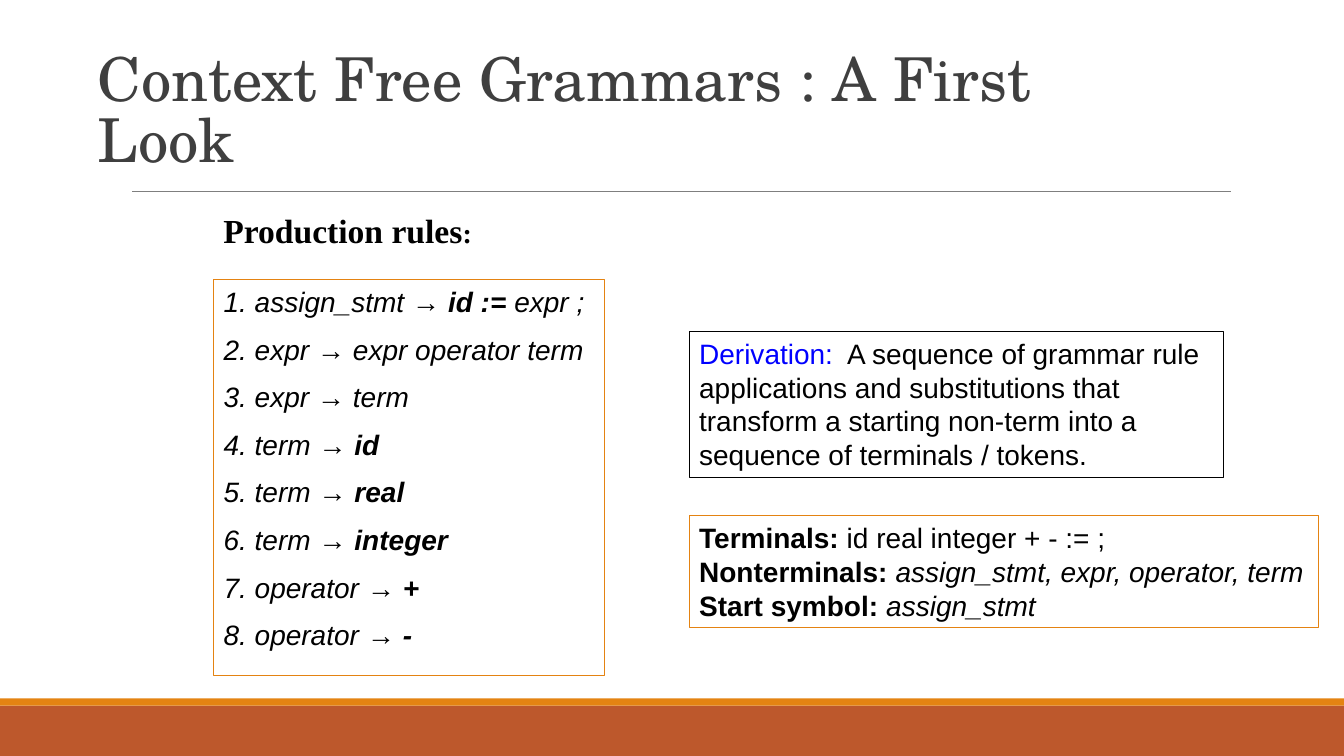
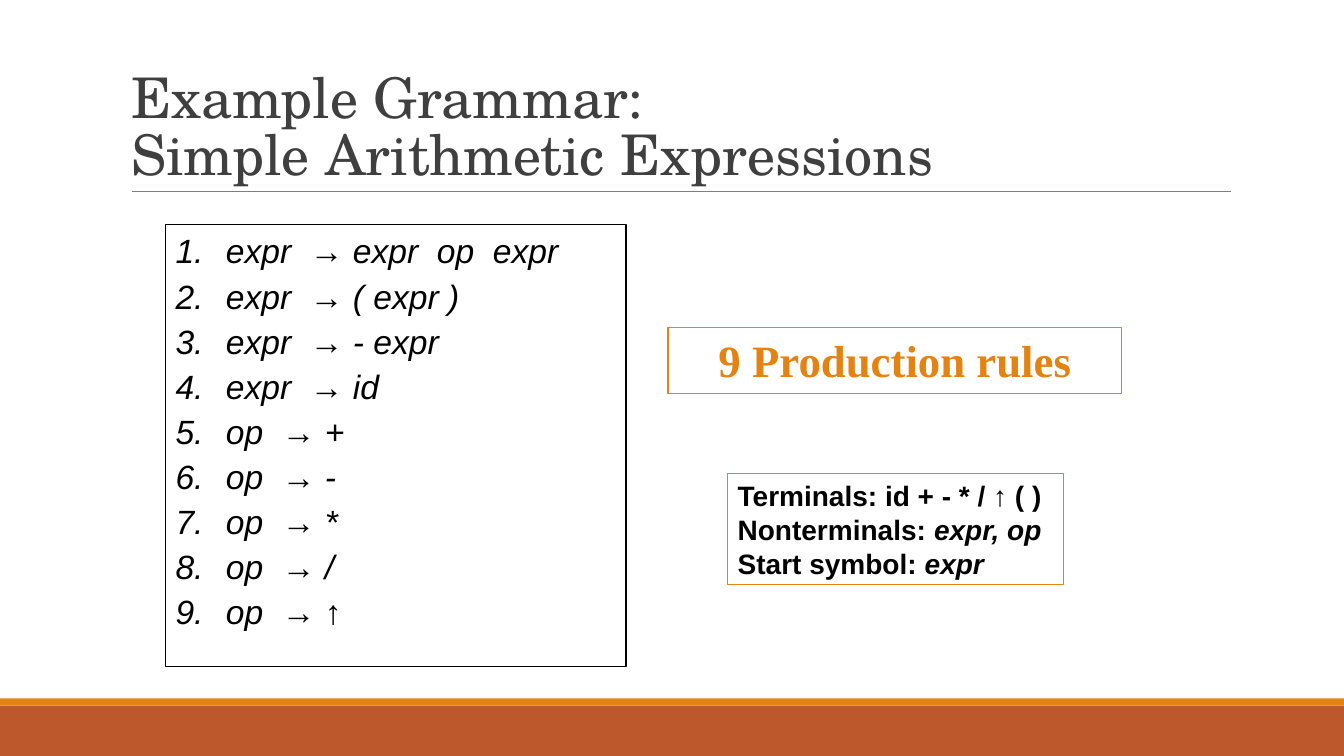
from lxml import etree
from pptx import Presentation
from pptx.dml.color import RGBColor
from pptx.enum.shapes import MSO_CONNECTOR, MSO_SHAPE
from pptx.enum.text import MSO_ANCHOR, MSO_AUTO_SIZE, PP_ALIGN
from pptx.oxml.ns import qn
from pptx.util import Cm, Pt

RECTANGLE = MSO_SHAPE.RECTANGLE
STRAIGHT = MSO_CONNECTOR.STRAIGHT
TOP, BOTTOM = MSO_ANCHOR.TOP, MSO_ANCHOR.BOTTOM
NO_AUTOFIT = MSO_AUTO_SIZE.NONE
LEFT, CENTER = PP_ALIGN.LEFT, PP_ALIGN.CENTER

COLORS = {
    "rust": "BD582C",
    "orange": "E48312",
    "gray": "7F7F7F",
    "title": "3F3F3F",
    "black": "000000",
    "blue": "0000FF",
}
TITLE = {"name": "TeX Gyre Schola", "color": "title"}
TEXT = {"name": "Arial", "size": Pt(20), "color": "black"}
SERIF = {"name": "Times New Roman", "size": Pt(24), "color": "black", "bold": True}
PLAIN = {}
BOLD = {"bold": True}
ITALIC = {"italic": True}
BOLD_ITALIC = {"bold": True, "italic": True}


def color(name):
    return RGBColor.from_string(COLORS[name])


def fill_frame(shape, box, paragraphs, base, border=None, anchor=TOP, layout=None):
    shape.left, shape.top, shape.width, shape.height = [Cm(length) for length in box]
    if border:
        shape.line.color.rgb = color(border[0])
        shape.line.width = Pt(border[1])
    frame = shape.text_frame
    frame.word_wrap = True
    frame.auto_size = NO_AUTOFIT
    frame.vertical_anchor = anchor
    for index, runs in enumerate(paragraphs):
        paragraph = frame.add_paragraph() if index else frame.paragraphs[0]
        values = {"alignment": LEFT, "space_before": Pt(0)} | (layout or {})
        for attribute, value in values.items():
            setattr(paragraph, attribute, value)
        for text, changes in runs:
            run = paragraph.add_run()
            run.text = text
            for attribute, value in (base | changes).items():
                if attribute == "color":
                    run.font.color.rgb = color(value)
                else:
                    setattr(run.font, attribute, value)
    return frame


def set_bullets(shape, tag, margin, **attributes):
    for properties in shape.element.iter(qn("a:pPr")):
        properties.set("marL", str(margin))
        properties.set("indent", str(-margin))
        etree.SubElement(properties, qn(tag), **attributes)


presentation = Presentation()
presentation.slide_width = Cm(33.87)
presentation.slide_height = Cm(19.05)
content_layout = presentation.slide_layouts[1]
first_slide = presentation.slides.add_slide(content_layout)
second_slide = presentation.slides.add_slide(content_layout)

shared_shapes = []
for top, height, name in [(17.78, 1.27, "rust"), (17.6, 0.18, "orange")]:
    band = first_slide.shapes.add_shape(RECTANGLE, 0, Cm(top), Cm(33.87), Cm(height))
    band.shadow.inherit = False
    band.fill.solid()
    band.fill.fore_color.rgb = color(name)
    band.line.fill.background()
    shared_shapes.append(band)
title_rule = first_slide.shapes.add_connector(STRAIGHT, Cm(3.33), Cm(4.83), Cm(31.01), Cm(4.83))
title_rule.line.color.rgb = color("gray")
title_rule.line.width = Pt(0.75)
etree.SubElement(title_rule.element.spPr, qn("a:effectLst"))
shared_shapes.append(title_rule)
for shape in shared_shapes:
    content_layout.shapes.element.append(shape.element)

titles = [
    (first_slide, (2.21, 1.57, 27.69, 2.97), 43.2, ["Context Free Grammars : A First Look"]),
    (second_slide, (3.05, 0.79, 27.94, 4.04), 40, ["Example Grammar: ", "Simple Arithmetic Expressions"]),
]
for slide, box, size, lines in titles:
    title = slide.shapes.title
    frame = fill_frame(title, box, [[(lines[0], PLAIN)]], TITLE | {"size": Pt(size)},
                       anchor=BOTTOM, layout={"line_spacing": 0.85})
    paragraph = frame.paragraphs[0]
    for line in lines[1:]:
        paragraph.add_line_break()
        run = paragraph.add_run()
        run.text = line
        run.font.name = TITLE["name"]
        run.font.size = Pt(size)
        run.font.color.rgb = color(TITLE["color"])
    for line_break in title.element.iter(qn("a:br")):
        etree.SubElement(line_break, qn("a:rPr"), sz=str(size * 100))

statement_rules = [
    ("assign_stmt", [("id :=", BOLD_ITALIC), (" expr ;", ITALIC)]),
    ("expr", [("expr operator term", ITALIC)]),
    ("expr", [("term", ITALIC)]),
    ("term", [("id", BOLD_ITALIC)]),
    ("term", [("real", BOLD_ITALIC)]),
    ("term", [("integer", BOLD_ITALIC)]),
    ("operator", [("+", BOLD_ITALIC)]),
    ("operator", [("-", BOLD_ITALIC)]),
]
statement_list = first_slide.placeholders[1]
frame = fill_frame(
    statement_list, (5.38, 7.04, 9.86, 9.98),
    [[(f"{number}. {left} ", ITALIC), ("→ ", PLAIN), *right]
     for number, (left, right) in enumerate(statement_rules, 1)],
    TEXT, ("orange", 1), layout={"space_before": Pt(10)})
frame.paragraphs[0].space_before = Pt(0)
set_bullets(statement_list, "a:buNone", 0)

arithmetic_rules = [("expr", right) for right in ["expr  op  expr", "( expr )", "- expr", "id"]]
arithmetic_rules += [("op", right) for right in "+-*/"]
arithmetic_list = second_slide.placeholders[1]
frame = fill_frame(
    arithmetic_list, (4.17, 5.66, 11.61, 11.13),
    [[(f"{left}  ", ITALIC), ("→", PLAIN), (f" {right}", ITALIC)] for left, right in arithmetic_rules]
    + [[("op  ", ITALIC), ("→ ↑", PLAIN)]],
    TEXT | {"size": Pt(24)}, ("black", 1), layout={"space_before": Pt(12), "line_spacing": 0.7})
frame.paragraphs[0].space_before = Pt(0)
frame.paragraphs[0].line_spacing = 1.0
set_bullets(arithmetic_list, "a:buAutoNum", Cm(1.27), type="arabicPeriod")

text_boxes = [
    (first_slide, (17.37, 8.36, 13.46, 3.68), TEXT, ("black", 1), LEFT, [
        [("Derivation:", {"color": "blue"}),
         ("  A sequence of grammar rule applications and substitutions that transform "
          "a starting non-term into a sequence of terminals / tokens.", PLAIN)],
    ]),
    (first_slide, (5.38, 5.16, 6.83, 1.27), SERIF, None, LEFT, [
        [("Production rules", PLAIN), (":", {"size": Pt(20)})],
    ]),
    (first_slide, (17.37, 13, 15.85, 2.82), TEXT, ("orange", 0.75), LEFT, [
        [("Terminals: ", BOLD), ("id real integer + - := ;", PLAIN)],
        [("Nonterminals: ", BOLD), ("assign_stmt, expr, operator, term", ITALIC)],
        [("Start symbol: ", BOLD), ("assign_stmt", ITALIC)],
    ]),
    (second_slide, (16.84, 8.26, 11.43, 1.65), SERIF, ("orange", 1), CENTER, [
        [("9 Production rules", {"size": Pt(32), "color": "orange"})],
    ]),
    (second_slide, (18.34, 11.94, 8.46, 2.79), TEXT | BOLD, ("orange", 0.75), LEFT, [
        [("Terminals: id + - * / ↑ ( )", PLAIN)],
        [("Nonterminals: ", PLAIN), ("expr, op", ITALIC)],
        [("Start symbol: ", PLAIN), ("expr", ITALIC)],
    ]),
]
for slide, box, base, border, alignment, paragraphs in text_boxes:
    text_box = slide.shapes.add_textbox(0, 0, 0, 0)
    fill_frame(text_box, box, paragraphs, base, border, layout={"alignment": alignment})

presentation.save("out.pptx")
